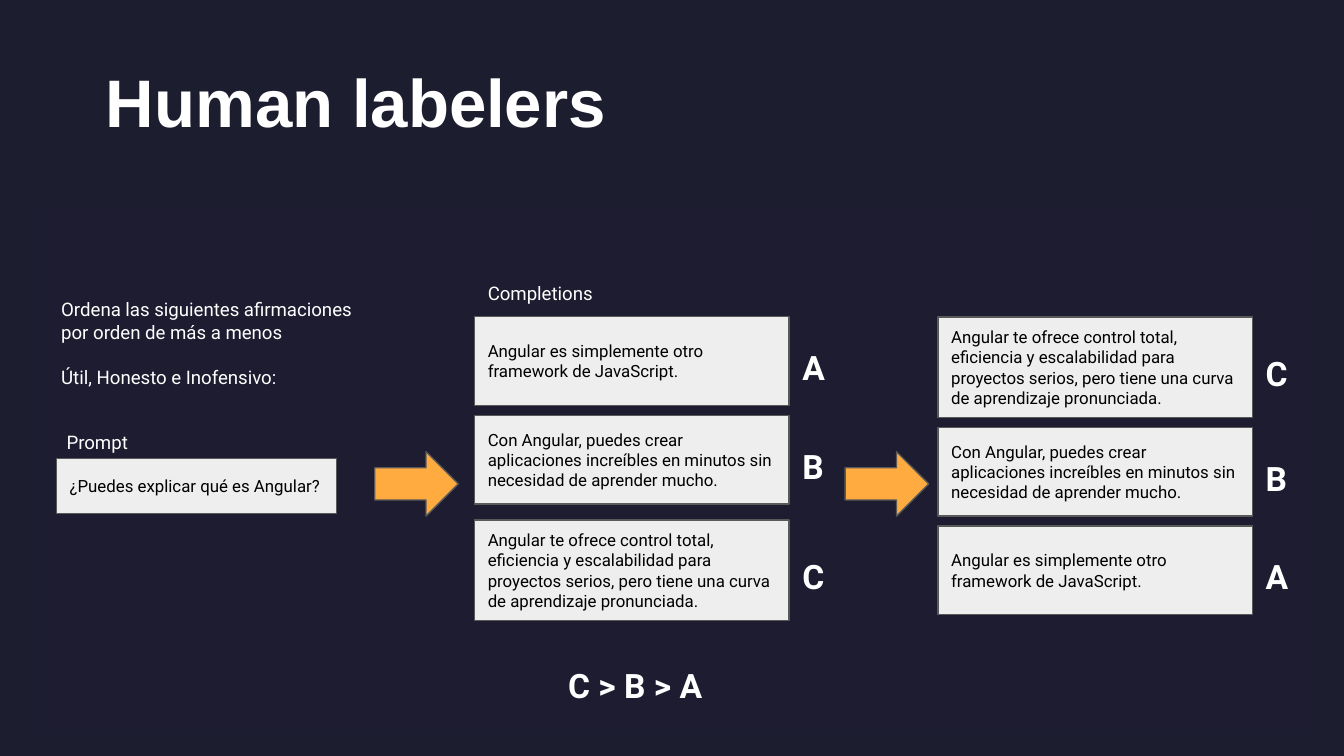
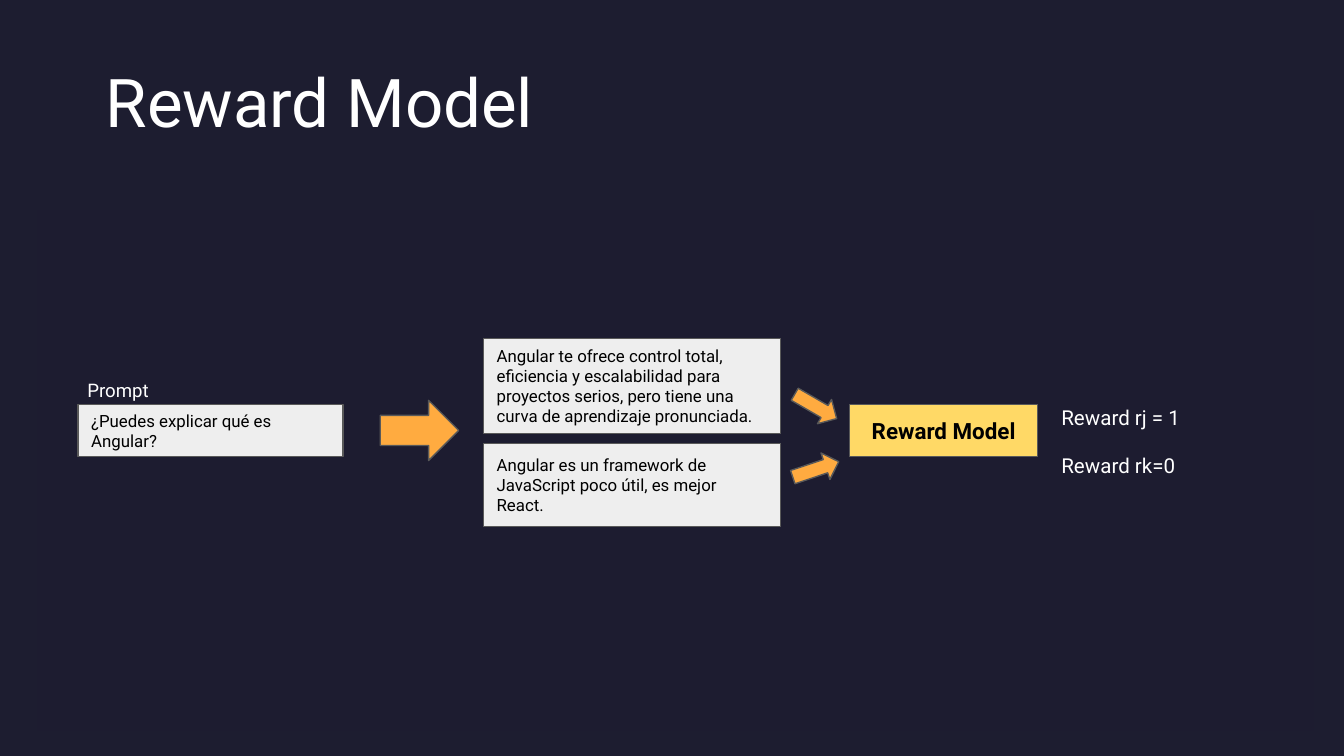
from dataclasses import dataclass

from pptx import Presentation
from pptx.dml.color import RGBColor as RGB
from pptx.enum.shapes import MSO_SHAPE as Shape
from pptx.enum.text import MSO_ANCHOR as Anchor, MSO_AUTO_SIZE as AutoSize, PP_ALIGN as Align
from pptx.util import Pt


@dataclass(frozen=True)
class Theme:
    background: RGB = RGB(0x1D, 0x1D, 0x30)
    panel: RGB = RGB(0x1D, 0x1C, 0x30)
    card: RGB = RGB(0xEE, 0xEE, 0xEE)
    arrow: RGB = RGB(0xFF, 0xAB, 0x40)
    model: RGB = RGB(0xFF, 0xD9, 0x66)
    outline: RGB = RGB(0x59, 0x59, 0x59)
    light: RGB = RGB(0xFF, 0xFF, 0xFF)
    dark: RGB = RGB(0, 0, 0)
    font: str = "Roboto"
    title_size: int = 36
    letter_size: int = 18
    model_size: int = 12
    reward_size: int = 11
    label_size: int = 10
    card_size: int = 9


theme = Theme()


def add_block(slide, kind, box, fill, outlined=True, rotation=0):
    block = slide.shapes.add_shape(kind, *map(Pt, box))
    block.shadow.inherit = False
    block.fill.solid()
    block.fill.fore_color.rgb = fill
    if outlined:
        block.line.color.rgb = theme.outline
        block.line.width = Pt(0.75)
    else:
        block.line.fill.background()
    block.rotation = rotation
    return block


def write(holder, text, size=theme.label_size, color=theme.light, bold=False,
          font=theme.font, align=Align.LEFT, anchor=Anchor.TOP, gap=0, top_inset=7.2):
    """Fill a shape with one paragraph per line of text, gap points apart."""
    frame = holder.text_frame
    frame.word_wrap = True
    frame.auto_size = AutoSize.NONE
    frame.vertical_anchor = anchor
    frame.margin_left = frame.margin_right = frame.margin_bottom = Pt(7.2)
    frame.margin_top = Pt(top_inset)
    frame.text = text
    for index, paragraph in enumerate(frame.paragraphs):
        paragraph.alignment = align
        paragraph.space_before = Pt(gap if index else 0)
        paragraph.font.name = font
        paragraph.font.size = Pt(size)
        paragraph.font.bold = bold
        paragraph.font.color.rgb = color


card_style = dict(size=theme.card_size, color=theme.dark, anchor=Anchor.MIDDLE)
letter_style = dict(size=theme.letter_size, bold=True)
question = "¿Puedes explicar qué es Angular?"
completions = {
    "A": "Angular es simplemente otro framework de JavaScript.",
    "B": "Con Angular, puedes crear aplicaciones increíbles en minutos sin "
         "necesidad de aprender mucho.",
    "C": "Angular te ofrece control total, eficiencia y escalabilidad para "
         "proyectos serios, pero tiene una curva de aprendizaje pronunciada.",
}

prs = Presentation()
prs.slide_width, prs.slide_height = Pt(720), Pt(405)
master_fill = prs.slide_master.background.fill
master_fill.solid()
master_fill.fore_color.rgb = theme.background

# Shared panel and title
slides = []
for heading, heading_font, heading_bold in (("Human labelers", "Arial", True),
                                            ("Reward Model", theme.font, False)):
    slide = prs.slides.add_slide(prs.slide_layouts[5])
    add_block(slide, Shape.RECTANGLE, (20, 113, 683.5, 278.5), theme.panel, outlined=False)
    title = slide.shapes.title
    title.left, title.top, title.width, title.height = Pt(49.5), Pt(21.5), Pt(538.5), Pt(78.5)
    write(title, heading, size=theme.title_size, font=heading_font, bold=heading_bold,
          top_inset=11)
    slides.append(slide)
labelers, reward = slides

# Human labelers: instruction and prompt
instruction = labelers.shapes.add_textbox(Pt(25.75), Pt(152.5), Pt(180), Pt(29.5))
write(instruction, "Ordena las siguientes afirmaciones por orden de más a menos\n"
                   "Útil, Honesto e Inofensivo:", gap=12)
prompt = add_block(labelers, Shape.RECTANGLE, (30.25, 245.5, 150, 29.5), theme.card)
write(prompt, question, **card_style)
prompt_label = labelers.shapes.add_textbox(Pt(28.6), Pt(223.75), Pt(180), Pt(29.5))
write(prompt_label, "Prompt")
for arrow_left in (200.75, 452.75):
    add_block(labelers, Shape.RIGHT_ARROW, (arrow_left, 242, 44.75, 34.5), theme.arrow)

# Human labelers: completions as given, then ranked
completions_label = labelers.shapes.add_textbox(Pt(254.25), Pt(143.75), Pt(180), Pt(29.5))
write(completions_label, "Completions")
card_width, letter_height = 168.5, 29.5
card_heights = {"A": 47.5, "B": 47.5, "C": 54}
for left, order, gaps in ((254.25, "ABC", (5.25, 8.5, 0)), (502.5, "CBA", (5.25, 5.25, 0))):
    top = 169.75
    for letter, gap in zip(order, gaps):
        height = card_heights[letter]
        card = add_block(labelers, Shape.RECTANGLE, (left, top, card_width, height), theme.card)
        write(card, completions[letter], **card_style)
        mark = labelers.shapes.add_textbox(Pt(left + card_width),
                                           Pt(top + (height - letter_height) / 2),
                                           Pt(24.5), Pt(letter_height))
        write(mark, letter, **letter_style)
        top += height + gap
ranking = labelers.shapes.add_textbox(Pt(297.25), Pt(349.25), Pt(93.5), Pt(29.5))
write(ranking, "C > B > A", **letter_style)

# Reward Model: prompt, compared answers, model and its rewards
prompt = add_block(reward, Shape.RECTANGLE, (41.75, 216.75, 142, 28), theme.card)
write(prompt, question, **card_style)
prompt_label = reward.shapes.add_textbox(Pt(39.75), Pt(196), Pt(170), Pt(28))
write(prompt_label, "Prompt")

for answer, top, height in (
        (completions["C"], 181.25, 51),
        ("Angular es un framework de JavaScript poco útil, es mejor React.", 237.5, 44.5)):
    card = add_block(reward, Shape.RECTANGLE, (259, top, 159.25, height), theme.card)
    write(card, answer, **card_style)

for box, rotation in (((203.75, 214.5, 42, 32.25), 0),
                      ((424, 210.25, 26, 15), 30.1),
                      ((424, 244, 26, 15), 341.5)):
    add_block(reward, Shape.RIGHT_ARROW, box, theme.arrow, rotation=rotation)

model = add_block(reward, Shape.RECTANGLE, (455.25, 216.75, 100.75, 28), theme.model)
write(model, "Reward Model", size=theme.model_size, color=theme.dark, bold=True,
      align=Align.CENTER, anchor=Anchor.MIDDLE)
scores = reward.shapes.add_textbox(Pt(561.5), Pt(209.5), Pt(108), Pt(43))
write(scores, "Reward rj = 1\nReward rk=0", size=theme.reward_size, gap=13)

prs.save("out.pptx")
